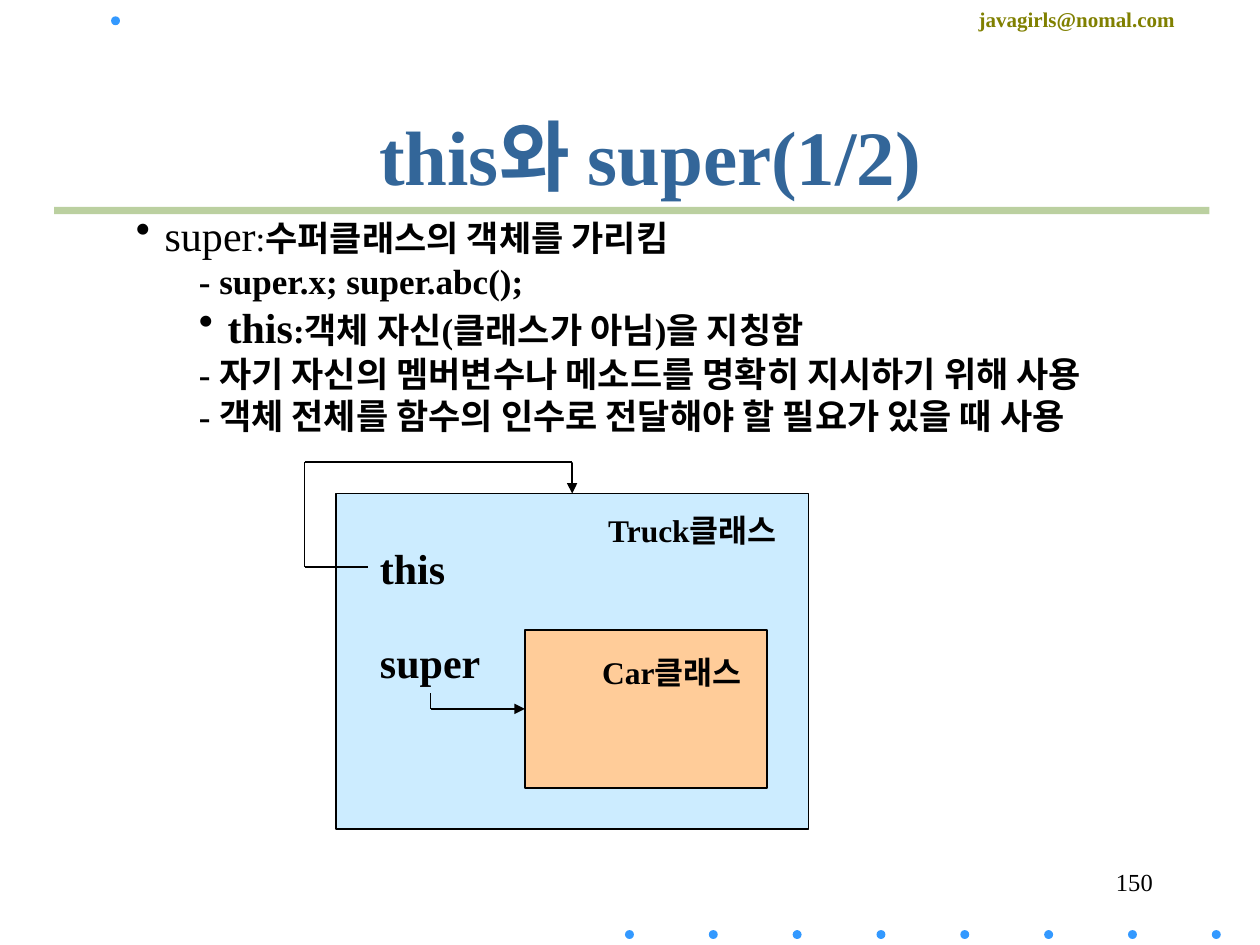
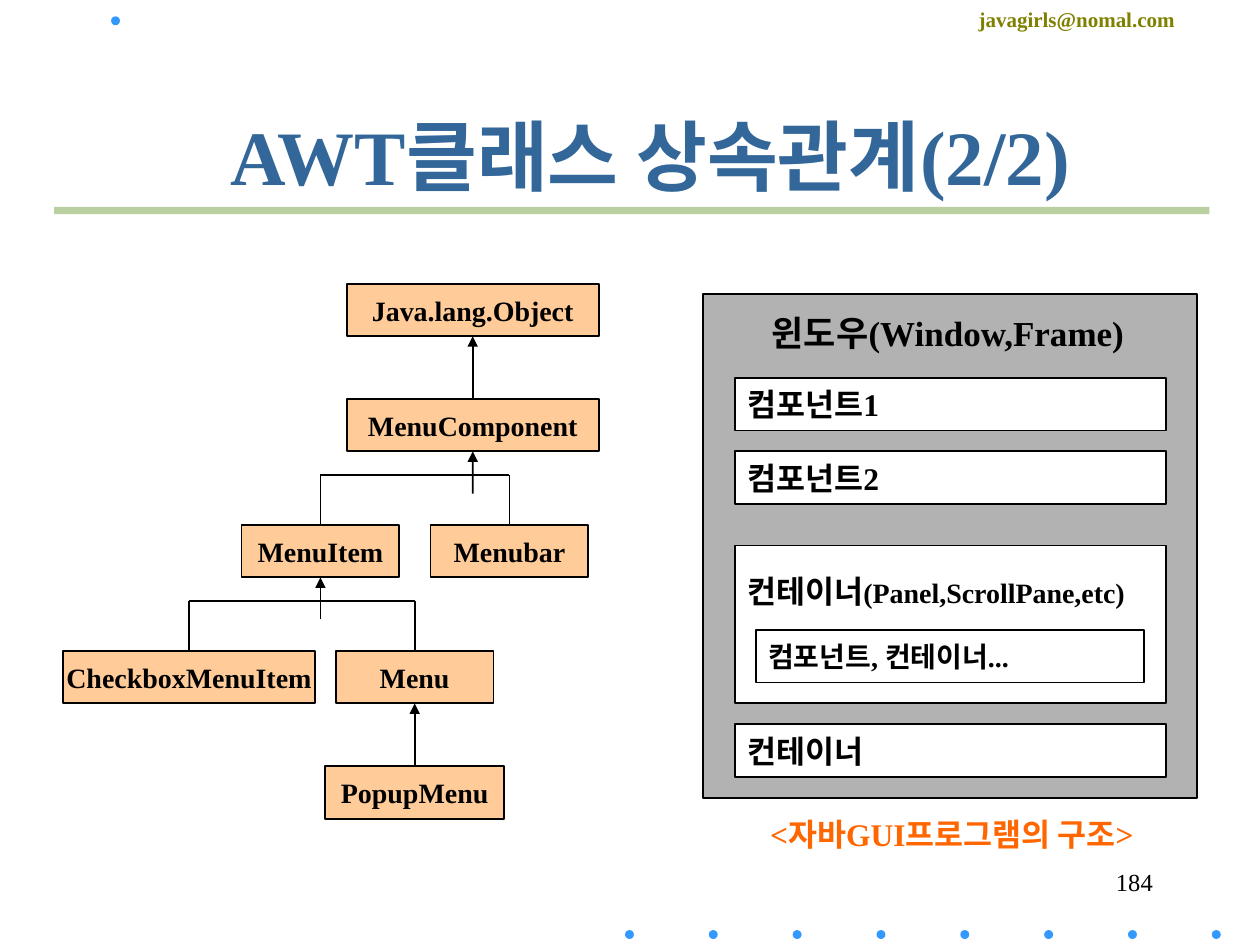
import pptx
import pptx.dml.color
import pptx.enum.shapes
import pptx.enum.text
import pptx.oxml.ns
import pptx.util
from lxml import etree

Cm = pptx.util.Cm
RGBColor = pptx.dml.color.RGBColor
PP_ALIGN = pptx.enum.text.PP_ALIGN
ANCHOR = pptx.enum.text.MSO_ANCHOR
SHAPE = pptx.enum.shapes.MSO_SHAPE
qn = pptx.oxml.ns.qn

BLACK = RGBColor(0x00, 0x00, 0x00)
WHITE = RGBColor(0xFF, 0xFF, 0xFF)
BLUE = RGBColor(0x33, 0x66, 0x99)
DOT_BLUE = RGBColor(0x33, 0x99, 0xFF)
OLIVE = RGBColor(0x80, 0x80, 0x00)
GREEN = RGBColor(0xBB, 0xD0, 0xA0)
SKY = RGBColor(0xCC, 0xEC, 0xFF)
PEACH = RGBColor(0xFF, 0xCC, 0x99)
GRAY = RGBColor(0xB2, 0xB2, 0xB2)
ORANGE = RGBColor(0xFF, 0x66, 0x00)

TOP, LEFT, BOTTOM = 0, 1, 2
BOX_HEIGHT = 1.06


class Deck:
    """Hold the presentation, its style and the current slide."""

    font = "Times New Roman"
    inset = 0.25
    bullet_indent = 0.58

    def __init__(self):
        self.prs = pptx.Presentation()
        self.prs.slide_width = Cm(25.4)
        self.prs.slide_height = Cm(19.05)
        self.s = None

    def slide(self, title, number):
        """Start a slide with the shared dots, rule, title and number."""
        self.s = self.prs.slides.add_slide(self.prs.slide_layouts[6])
        for i in range(8):
            self.dot(12.6 + 1.69 * i, 18.75)
        self.dot(2.24, 0.33)
        self.text(19.48, 0, 5.92, 0.76, "javagirls@nomal.com", 12, color=OLIVE)
        self.shape(SHAPE.RECTANGLE, 1.09, 4.17, 23.29, 0.15, GREEN)
        self.text(18.21, 17.35, 5.28, 1.27, number, 14, bold=False, align=PP_ALIGN.RIGHT)
        self.text(1.91, 1.52, 22.4, 3.18, title, 44, color=BLUE,
                  align=PP_ALIGN.CENTER, anchor=ANCHOR.MIDDLE)

    def shape(self, kind, x, y, w, h, fill, line=None):
        """Add a filled preset shape."""
        sp = self.s.shapes.add_shape(kind, Cm(x), Cm(y), Cm(w), Cm(h))
        sp.shadow.inherit = False
        sp.fill.solid()
        sp.fill.fore_color.rgb = fill
        if line is None:
            sp.line.fill.background()
        else:
            sp.line.color.rgb = line
            sp.line.width = pptx.util.Pt(1)
        return sp

    def dot(self, x, y):
        """Add a small decorative dot."""
        self.shape(SHAPE.OVAL, x, y, 0.18, 0.18, DOT_BLUE)

    def frame(self, sp, align, anchor, top=0.13, right=inset):
        """Prepare a text frame and its first paragraph."""
        tf = sp.text_frame
        tf.word_wrap = align != PP_ALIGN.CENTER
        tf.vertical_anchor = anchor
        tf.margin_left, tf.margin_right = Cm(self.inset), Cm(right)
        tf.margin_top, tf.margin_bottom = Cm(top), Cm(0.13)
        tf.paragraphs[0].alignment = align
        return tf

    def run(self, p, text, size, bold=True, color=BLACK):
        """Add one styled run."""
        r = p.add_run()
        r.text = text
        r.font.name = self.font
        r.font.size = pptx.util.Pt(size)
        r.font.bold = bold
        r.font.color.rgb = color

    def text(self, x, y, w, h, text, size, bold=True, color=BLACK,
             align=PP_ALIGN.LEFT, anchor=ANCHOR.TOP):
        """Add a one-line text box."""
        sp = self.s.shapes.add_textbox(Cm(x), Cm(y), Cm(w), Cm(h))
        tf = self.frame(sp, align, anchor)
        self.run(tf.paragraphs[0], text, size, bold, color)

    def box(self, x, y, w, h, fill, runs=(), align=PP_ALIGN.LEFT,
            anchor=ANCHOR.MIDDLE, top=0.13, right=inset):
        """Add an outlined rectangle with a label."""
        sp = self.shape(SHAPE.RECTANGLE, x, y, w, h, fill, BLACK)
        tf = self.frame(sp, align, anchor, top, right)
        for text, size in runs:
            self.run(tf.paragraphs[0], text, size)
        return sp

    def class_box(self, name, center, y, w):
        """Add a class of the inheritance tree."""
        return self.box(center - w / 2, y, w, BOX_HEIGHT, PEACH, [(name, 16)], PP_ALIGN.CENTER)

    def outline(self, x, y, w, h, items):
        """Add a text box of (left margin, bulleted, runs) paragraphs."""
        sp = self.s.shapes.add_textbox(Cm(x), Cm(y), Cm(w), Cm(h))
        tf = self.frame(sp, PP_ALIGN.LEFT, ANCHOR.TOP)
        for i, (margin, bulleted, runs) in enumerate(items):
            p = tf.add_paragraph() if i else tf.paragraphs[0]
            hang = self.bullet_indent if bulleted else 0
            pPr = p._p.get_or_add_pPr()
            pPr.set("marL", str(Cm(margin + hang)))
            pPr.set("indent", str(-Cm(hang)))
            if bulleted:
                etree.SubElement(pPr, qn("a:buChar")).set("char", "•")
            for text, size, bold in runs:
                self.run(p, text, size, bold)

    def route(self, points, begin=None, end=None, arrow=False):
        """Join points with straight connectors, glued to (shape, side) ends."""
        legs = []
        for start, stop in zip(points, points[1:]):
            c = self.s.shapes.add_connector(
                pptx.enum.shapes.MSO_CONNECTOR.STRAIGHT, *map(Cm, start + stop))
            c.line.color.rgb = BLACK
            c.line.width = pptx.util.Pt(1)
            legs.append(c)
        if begin:
            legs[0].begin_connect(*begin)
        if end:
            legs[-1].end_connect(*end)
        if arrow:
            tail = etree.SubElement(legs[-1].line._get_or_add_ln(), qn("a:tailEnd"))
            tail.set("type", "triangle")
        for c in legs:
            etree.SubElement(c._element.spPr, qn("a:effectLst"))

    def fork(self, left, right, y, bar_y):
        """Bracket the tops of two sibling (shape, center) classes."""
        (first, x1), (second, x2) = left, right
        self.route([(x1, y), (x1, bar_y), (x2, bar_y), (x2, y)], (first, TOP), (second, TOP))


def this_and_super(deck):
    """Build the slide on the this and super references."""
    deck.slide("this와 super(1/2)", "150")
    deck.outline(2.49, 4.09, 20.6, 6.53, [
        (0, True, [("super", 24, False), (":", 20, False),
                   ("수퍼클래스의 객체를 가리킴", 20, True)]),
        (1.27, False, [("- super.x; super.abc();", 20, True)]),
        (1.27, True, [("this", 24, True), (":객체 자신(클래스가 아님)을 지칭함", 20, True)]),
        (1.27, False, [("- 자기 자신의 멤버변수나 메소드를 명확히 지시하기 위해 사용", 20, True)]),
        (1.27, False, [("- 객체 전체를 함수의 인수로 전달해야 할 필요가 있을 때 사용", 20, True)]),
    ])
    truck = deck.box(6.77, 9.95, 9.53, 6.77, SKY, [("Truck클래스", 18)],
                     PP_ALIGN.RIGHT, ANCHOR.TOP, top=0.36, right=0.64)
    car = deck.box(10.58, 12.7, 4.88, 3.18, PEACH, [("Car클래스", 18)],
                   PP_ALIGN.RIGHT, ANCHOR.TOP, top=0.46, right=0.51)
    deck.text(7.41, 10.8, 2.6, 1.27, "this", 24)
    deck.text(7.41, 12.7, 3, 1.27, "super", 24)
    deck.route([(7.41, 11.43), (6.14, 11.43), (6.14, 9.32), (11.53, 9.32), (11.53, 9.95)],
               end=(truck, TOP), arrow=True)
    deck.route([(8.68, 13.97), (8.68, 14.29), (10.58, 14.29)], end=(car, LEFT), arrow=True)


def awt_classes(deck):
    """Build the slide on the AWT class tree and window structure."""
    deck.slide("AWT클래스 상속관계(2/2)", "184")
    root_x, item_x, bar_x, check_x, menu_x = 9.53, 6.46, 10.27, 3.81, 8.36
    root = deck.class_box("Java.lang.Object", root_x, 5.72, 5.08)
    component = deck.class_box("MenuComponent", root_x, 8.04, 5.08)
    item = deck.class_box("MenuItem", item_x, 10.58, 3.18)
    menubar = deck.class_box("Menubar", bar_x, 10.58, 3.18)
    checkbox = deck.class_box("CheckboxMenuItem", check_x, 13.12, 5.08)
    menu = deck.class_box("Menu", menu_x, 13.12, 3.18)
    popup = deck.class_box("PopupMenu", menu_x, 15.45, 3.6)

    deck.fork((item, item_x), (menubar, bar_x), 10.58, 9.58)
    deck.fork((checkbox, check_x), (menu, menu_x), 13.12, 12.12)
    for x, low, high, child, parent in [
        (menu_x, 15.45, 14.18, popup, menu),
        (item_x, 12.48, 11.64, None, item),
        (root_x, 9.95, 9.1, None, component),
        (root_x, 8.04, 6.78, component, root),
    ]:
        deck.route([(x, low), (x, high)], (child, TOP) if child else None,
                   (parent, BOTTOM), arrow=True)

    deck.box(14.18, 5.93, 9.95, 10.16, GRAY)
    deck.text(14.61, 6.15, 9, 1.12, "윈도우(Window,Frame)", 20, align=PP_ALIGN.CENTER)
    for label, y in [("컴포넌트1", 7.62), ("컴포넌트2", 9.1), ("컨테이너", 14.6)]:
        deck.box(14.82, y, 8.68, BOX_HEIGHT, WHITE, [(label, 18)])
    deck.box(14.82, 11, 8.68, 3.18, WHITE,
             [("컨테이너", 18), ("(Panel,ScrollPane,etc)", 16)], anchor=ANCHOR.TOP, top=0.53)
    deck.box(15.24, 12.7, 7.83, BOX_HEIGHT, WHITE, [("컴포넌트, 컨테이너...", 16)])
    deck.text(14.96, 16.31, 8.46, 1.02, "<자바GUI프로그램의 구조>", 18,
              color=ORANGE, align=PP_ALIGN.CENTER)


def main():
    """Build and save the deck."""
    deck = Deck()
    this_and_super(deck)
    awt_classes(deck)
    deck.prs.save("out.pptx")


if __name__ == "__main__":
    main()
